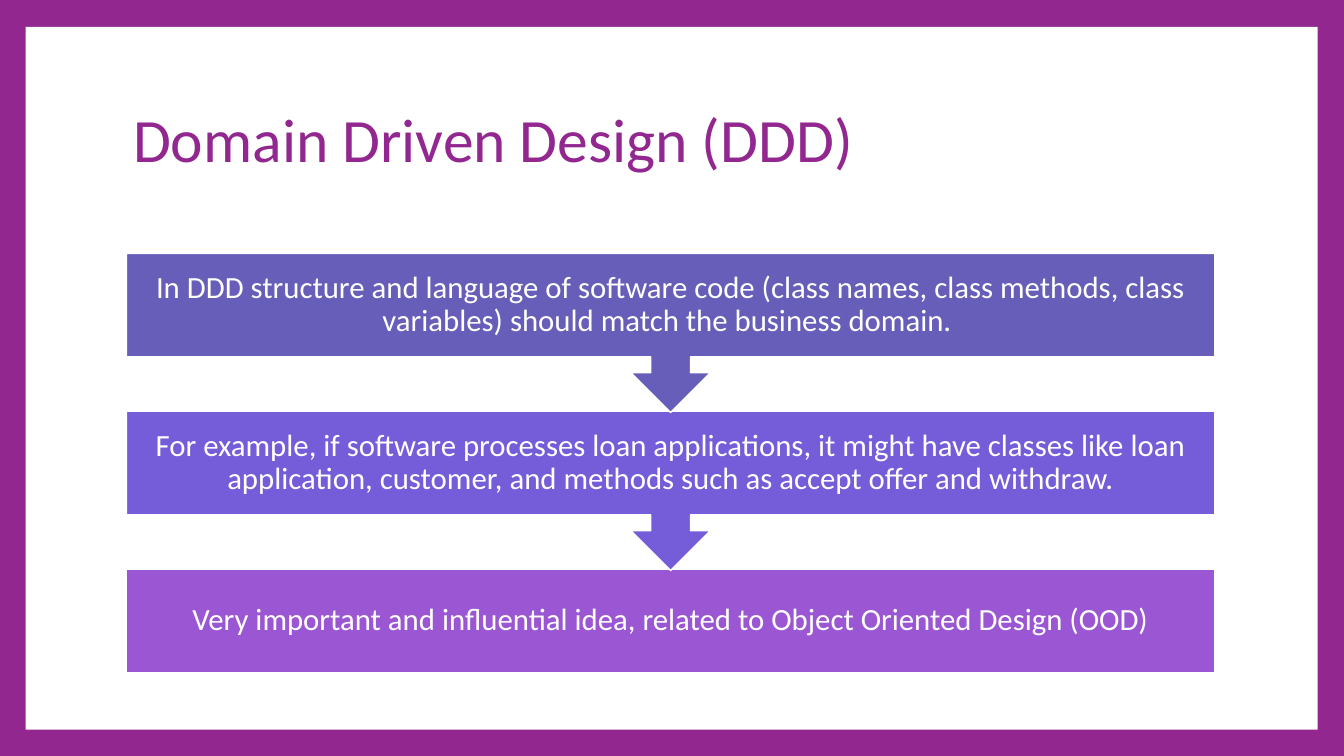
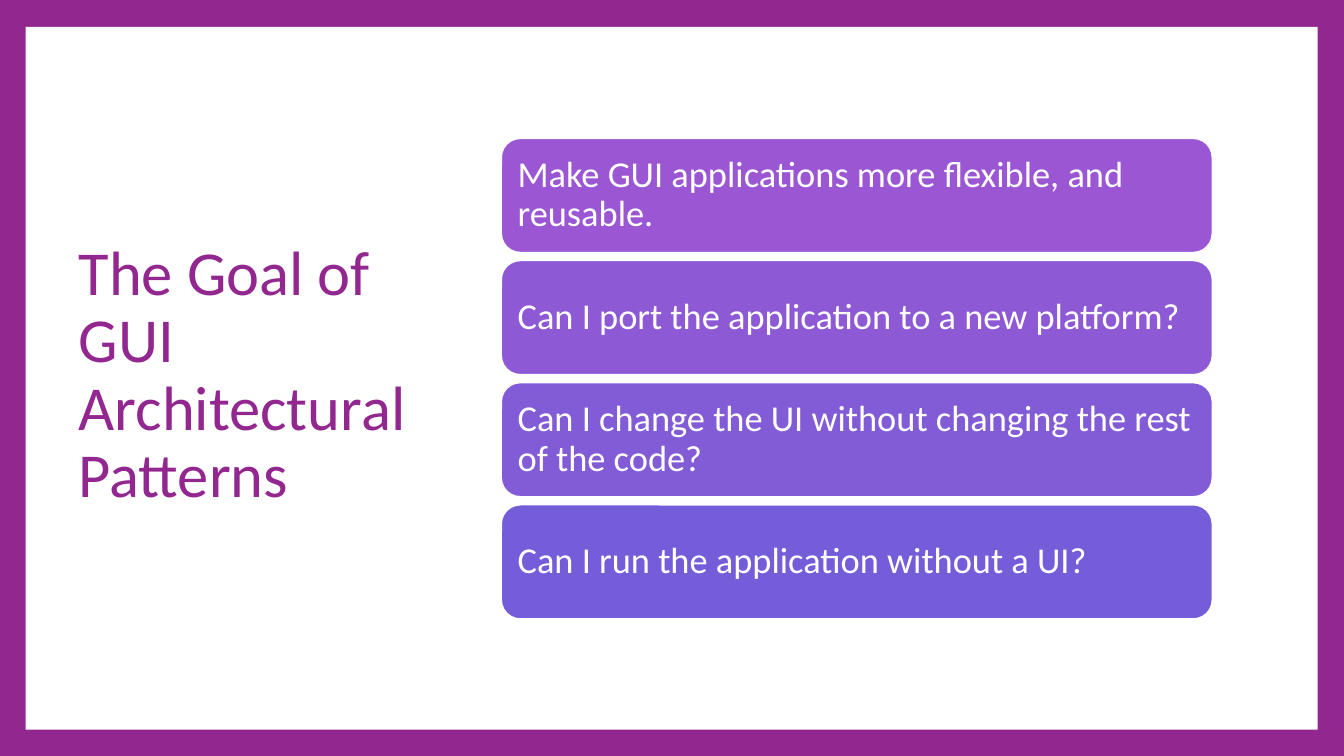
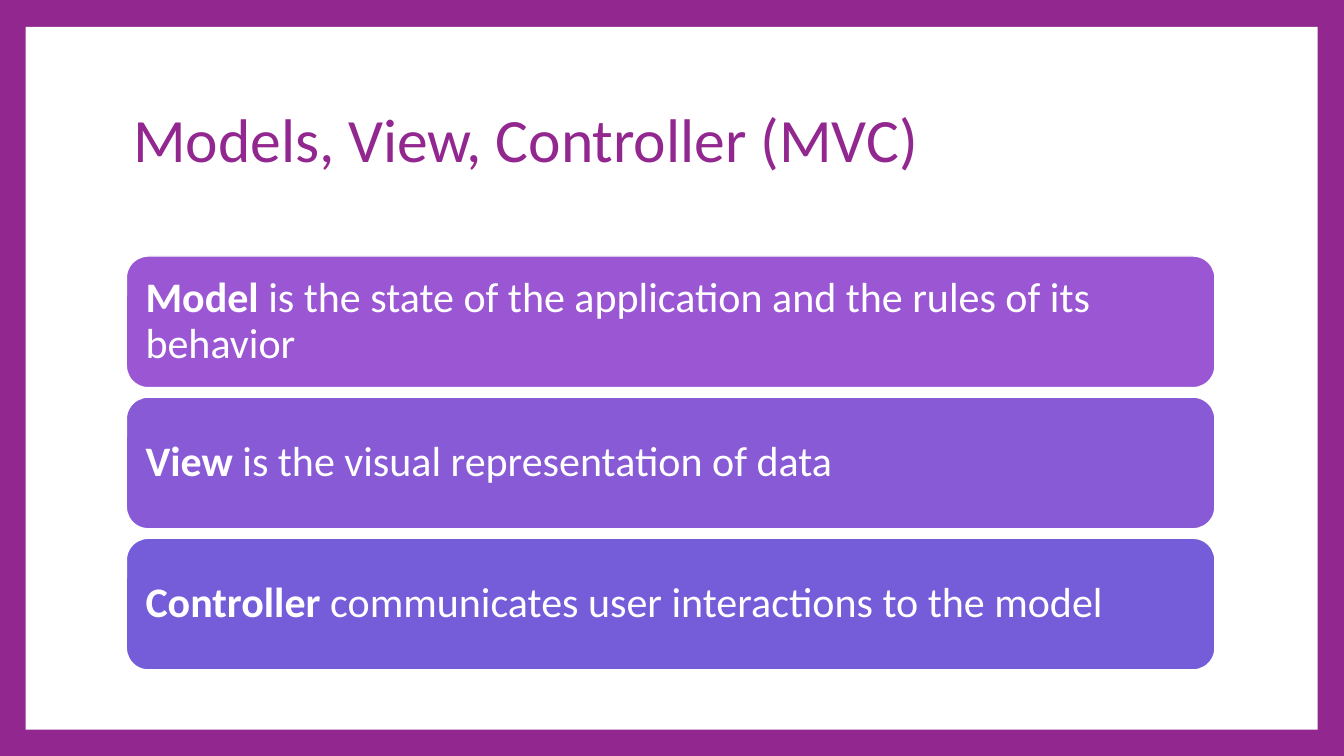
from collections import namedtuple

from pptx import Presentation
from pptx.dml.color import RGBColor
from pptx.enum.shapes import MSO_SHAPE as Preset
from pptx.enum.text import MSO_ANCHOR as Anchor, MSO_AUTO_SIZE as AutoSize, PP_ALIGN as Align
from pptx.util import Pt

EMU_PER_PX = 9144  # 100 px to the inch
FONT = "Calibri"
TITLE_ONLY = 5
COLORS = {
    "frame": "92278F",
    "white": "FFFFFF",
    "orchid": "9B57D3",
    "orchid_violet": "8E59D5",
    "mid_violet": "885AD6",
    "violet": "825BD7",
    "iris": "755DD9",
    "indigo": "665EB8",
}

Box = namedtuple("Box", "left top width height")
PANEL = Box(38, 40, 1923, 1046)
TOP_TITLE = Box(188, 100, 1620, 223)
SIDE_TITLE = Box(107, 100, 552, 920)


def px(length):
    return round(length * EMU_PER_PX)


def color(name):
    return RGBColor.from_string(COLORS[name])


def add_block(slide, preset, box, fill, outlined=True):
    shape = slide.shapes.add_shape(preset, *map(px, box))
    shape.shadow.inherit = False
    shape.fill.solid()
    shape.fill.fore_color.rgb = color(fill)
    if outlined:
        shape.line.color.rgb = color("white")
        shape.line.width = Pt(1.5)
    else:
        shape.line.fill.background()
    return shape


def write(shape, runs, size, font_color, align=Align.LEFT, inset=None):
    """Fill a shape with one paragraph of (text, bold) runs."""
    frame = shape.text_frame
    frame.word_wrap = True
    frame.auto_size = AutoSize.NONE
    frame.vertical_anchor = Anchor.MIDDLE
    if inset is not None:
        frame.margin_left = frame.margin_right = px(inset)
        frame.margin_top = frame.margin_bottom = px(inset)
    paragraph = frame.paragraphs[0]
    paragraph.alignment = align
    paragraph.line_spacing = 0.9
    for text, bold in runs:
        run = paragraph.add_run()
        run.text = text
        run.font.name = FONT
        run.font.size = Pt(size)
        run.font.bold = bold
        run.font.color.rgb = color(font_color)


def add_framed_slide(presentation, title, box, size):
    """Add a slide with the purple frame, the white panel and its title."""
    slide = presentation.slides.add_slide(presentation.slide_layouts[TITLE_ONLY])
    slide.background.fill.solid()
    slide.background.fill.fore_color.rgb = color("frame")
    panel = add_block(slide, Preset.RECTANGLE, PANEL, "white", outlined=False)
    panel.element.getparent().insert(2, panel.element)

    placeholder = slide.shapes.title
    placeholder.left, placeholder.top, placeholder.width, placeholder.height = map(px, box)
    write(placeholder, [(title, False)], size, "frame")
    return slide


def add_process(slide, box, steps, step_height, pitch):
    """Stack steps whose arrows point to the next; earlier steps lie in front."""
    last = len(steps) - 1
    for index, (text, fill) in reversed(list(enumerate(steps))):
        preset, height = Preset.DOWN_ARROW_CALLOUT, pitch + 2
        if index == last:
            preset, height = Preset.RECTANGLE, step_height
        step_box = Box(box.left, box.top + index * pitch, box.width, height)
        step = add_block(slide, preset, step_box, fill)
        write(step, [(text, False)], 33, "white", Align.CENTER, inset=26)


def add_cards(slide, box, cards, gap, size, inset):
    """Divide the box into equal rounded cards, one below the other."""
    height = (box.height - gap * (len(cards) - 1)) / len(cards)
    for index, (runs, fill) in enumerate(cards):
        card_box = Box(box.left, box.top + index * (height + gap), box.width, height)
        card = add_block(slide, Preset.ROUNDED_RECTANGLE, card_box, fill)
        write(card, runs, size, "white", inset=inset)


def build_domain_driven_design(presentation):
    slide = add_framed_slide(presentation, "Domain Driven Design (DDD)", TOP_TITLE, 66)
    steps = [
        ("In DDD structure and language of software code (class names, class methods, "
         "class variables) should match the business domain. ", "indigo"),
        ("For example, if software processes loan applications, it might have classes like "
         "loan application, customer, and methods such as accept offer and withdraw.", "iris"),
        ("Very important and influential idea, related to Object Oriented Design (OOD)",
         "orchid"),
    ]
    add_process(slide, Box(188, 377, 1620, 623), steps, step_height=154, pitch=235)


def build_gui_goals(presentation):
    slide = add_framed_slide(
        presentation, "The Goal of GUI Architectural Patterns", SIDE_TITLE, 67)
    goals = [
        ("Make GUI applications more flexible, and reusable.", "orchid"),
        ("Can I port the application to a new platform?", "orchid_violet"),
        ("Can I change the UI without changing the rest of the code?", "violet"),
        ("Can I run the application without a UI?", "iris"),
    ]
    cards = [([(text, False)], fill) for text, fill in goals]
    add_cards(slide, Box(746, 206, 1058, 715), cards, gap=12, size=39, inset=16)


def build_mvc(presentation):
    slide = add_framed_slide(presentation, "Models, View, Controller (MVC)", TOP_TITLE, 66)
    roles = [
        ("Model", " is the state of the application and the rules of its behavior", "orchid"),
        ("View", " is the visual representation of data", "mid_violet"),
        ("Controller", " communicates user interactions to the model", "iris"),
    ]
    cards = [([(role, True), (duty, False)], fill) for role, duty, fill in roles]
    add_cards(slide, Box(188, 381, 1620, 616), cards, gap=14, size=45, inset=19)


def main():
    presentation = Presentation()
    presentation.slide_width = px(2000)
    presentation.slide_height = px(1125)
    build_domain_driven_design(presentation)
    build_gui_goals(presentation)
    build_mvc(presentation)
    presentation.save("out.pptx")


if __name__ == "__main__":
    main()
